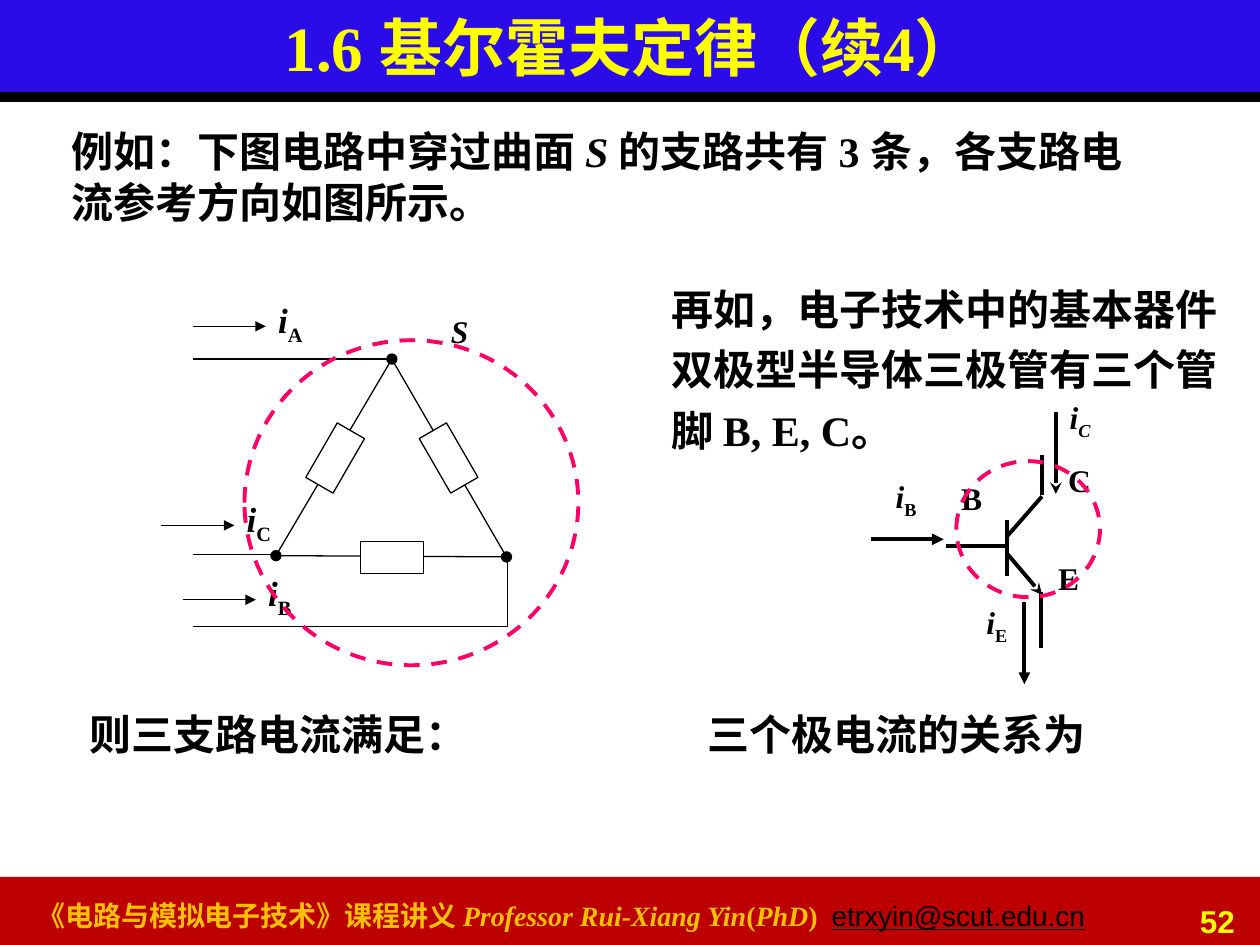
from lxml import etree
from pptx import Presentation
from pptx.dml.color import RGBColor
from pptx.enum.dml import MSO_LINE
from pptx.enum.shapes import MSO_CONNECTOR, MSO_SHAPE
from pptx.enum.text import MSO_ANCHOR, MSO_AUTO_SIZE, PP_ALIGN
from pptx.oxml.ns import qn
from pptx.util import Pt

RECT, OVAL = MSO_SHAPE.RECTANGLE, MSO_SHAPE.OVAL
LINE, DASH = MSO_CONNECTOR.STRAIGHT, MSO_LINE.DASH
LEFT, MID, RIGHT = PP_ALIGN.LEFT, PP_ALIGN.CENTER, PP_ALIGN.RIGHT
FIT, FIXED = MSO_AUTO_SIZE.SHAPE_TO_FIT_TEXT, MSO_AUTO_SIZE.NONE
PX = 9144  # 100 px to the inch
THIN, THICK = 0.75, 2.25
HUES = {"red": "BC0000", "blue": "2B0CE8", "black": "000000", "white": "FFFFFF",
        "yellow": "FFFF00", "gold": "FFC000", "pink": "FF0066"}

# Content: a run is (text, changes to the format)
ITAL = {"italic": True}
SUB = {"sub": True}
BARS = [((-2, 696, 1004, 56), "red"), ((-2, 0, 1004, 76), "blue"),
        ((-1, 73, 1002, 8), "black")]
TITLE = [("1.6 基尔霍夫定律（续4）", {})]
FOOT = [("《电路与模拟电子技术》课程讲义 ", {}), ("Professor Rui-Xiang Yin", ITAL),
        ("(", {}), ("PhD", ITAL), (")  ", {}),
        ("etrxyin@scut.edu.cn", {"name": "Arial", "bold": False,
                                 "underline": True, "hue": "black"})]
TEXTS = [  # box, runs, wrap, line spacing
    ((47, 95, 884, 91), [("例如：下图电路中穿过曲面 ", {}), ("S ", ITAL),
                         ("的支路共有 3 条，各支路电流参考方向如图所示。", {})], True, 1),
    ((61, 557, 375, 51), [("则三支路电流满足：", {})], True, 1),
    ((523, 212, 456, 156), [("再如，电子技术中的基本器件双极型半导体三极管有三个管脚 B, E, C。", {})],
     True, 1.2),
    ((552, 557, 323, 51), [("三个极电流的关系为", {})], False, 1)]

# Delta circuit
TOP, BASE_L, BASE_R = (311, 285), (219, 441), (402, 442)
SIDES = [(BASE_L, BASE_R), (TOP, BASE_R), (TOP, BASE_L)]
LOADS = [((311, 442), 0), ((356, 363), 60), ((266, 363), 300)]
LEADS = [((153, 285), TOP), ((153, 440), (219, 440))]
LOOP = [(153, 497), (403, 497), (403, 439)]
FLOWS = [((153, 259), "A"), ((145, 476), "B"), ((128, 417), "C")]

# Transistor: start, end, arrowhead
PARTS = [((799, 413), (799, 457), None), ((799, 426), (827, 394), None),
         ((799, 439), (827, 472), "stealth"), ((751, 433), (799, 433), None),
         ((826, 470), (826, 514), None), ((827, 393), (827, 361), None),
         ((691, 428), (749, 428), "triangle"), ((813, 478), (813, 543), "triangle"),
         ((838, 327), (838, 392), "stealth")]
PINS = [((753, 375), "B"), ((830, 439), "E"), ((838, 361), "C")]
AMPS = [((701, 374), "B", {}), ((773, 474), "E", {}), ((839, 311), "C", ITAL)]

deck = Presentation()
deck.slide_width, deck.slide_height = 1000 * PX, 750 * PX
page = deck.slides.add_slide(deck.slide_layouts[5])
items = page.shapes


def emu(*nums):
    return [n * PX for n in nums]


def tint(hue):
    return RGBColor.from_string(HUES[hue])


def ink(line, hue, width):
    line.color.rgb = tint(hue)
    line.width = Pt(width)


def shape(kind, box, fill=None, edge=None, width=THIN):
    new = items.add_shape(kind, *emu(*box))
    new.shadow.inherit = False
    if fill:
        new.fill.solid()
        new.fill.fore_color.rgb = tint(fill)
    else:
        new.fill.background()
    if edge:
        ink(new.line, edge, width)
    else:
        new.line.fill.background()
    return new


def wire(start, end, width=THIN, head=None):
    new = items.add_connector(LINE, *emu(*start, *end))
    ink(new.line, "black", width)
    props = new.element.spPr
    if head:
        etree.SubElement(props.find(qn("a:ln")), qn("a:tailEnd"), type=head)
    etree.SubElement(props, qn("a:effectLst"))


def write(frame, runs, size, hue="black", align=LEFT, space=1, name="Times New Roman"):
    para = frame.paragraphs[0]
    para.alignment, para.line_spacing = align, space
    base = {"name": name, "size": Pt(size), "bold": True, "italic": False}
    for words, change in runs:
        run = para.add_run()
        run.text = words
        style = {**base, "hue": hue, **change}
        run.font.color.rgb = tint(style.pop("hue"))
        if style.pop("sub", False):
            run.font._element.set("baseline", "-25000")
        for key, val in style.items():
            setattr(run.font, key, val)


def text(box, runs, size, wrap=False, fit=FIT, **look):
    frame = items.add_textbox(*emu(*box)).text_frame
    frame.word_wrap, frame.auto_size = wrap, fit
    write(frame, runs, size, **look)


def amp(spot, name, size, extent, change={}):
    text((*spot, *extent), [("i", ITAL), (name, {**SUB, **change})], size)


def ring(box):
    shape(OVAL, box, edge="pink", width=THICK).line.dash_style = DASH


# Bars, title and footer
for box, hue in BARS:
    shape(RECT, box, hue)
title = items.title
title.left, title.top, title.width, title.height = emu(0, 0, 1002, 73)
frame = title.text_frame
frame.vertical_anchor, frame.auto_size = MSO_ANCHOR.MIDDLE, FIXED
write(frame, TITLE, 36, "yellow", MID)
title.element.getparent().append(title.element)
text((20, 708, 882, 37), FOOT, 16, True, hue="gold")
text((896, 711, 94, 31), [("52", {})], 18, True, FIXED,
     hue="yellow", align=RIGHT, name="Arial")

# Running text
for box, runs, wrap, space in TEXTS:
    text(box, runs, 24, wrap, space=space)

# Delta circuit
for (start, end), ((x, y), turn) in zip(SIDES, LOADS):
    wire(start, end)
    shape(RECT, (x - 25, y - 12, 50, 25), "white", "black").rotation = turn
for start, end in LEADS:
    wire(start, end)
pen = items.build_freeform(*emu(*LOOP[0]))
pen.add_line_segments([emu(*spot) for spot in LOOP[1:]], close=False)
loop = pen.convert_to_shape()
loop.shadow.inherit = False
loop.fill.background()
ink(loop.line, "black", THIN)
for x, y in (TOP, BASE_L, BASE_R):
    shape(OVAL, (x - 4, y - 4, 8, 8), "black", "black")
for (x, y), name in FLOWS:
    wire((x, y), (x + 58, y), head="triangle")
    amp((x + 58, y - 27), name, 20, (41, 44))
ring((194, 270, 265, 258))
text((348, 243, 34, 40), [("S", ITAL)], 18)

# Transistor
for start, end, head in PARTS:
    wire(start, end, THICK, head)
for spot, name in PINS:
    text((*spot, 37, 40), [(name, {})], 18)
for spot, name, change in AMPS:
    amp(spot, name, 18, (38, 40), change)
ring((759, 366, 114, 108))

deck.save("out.pptx")
